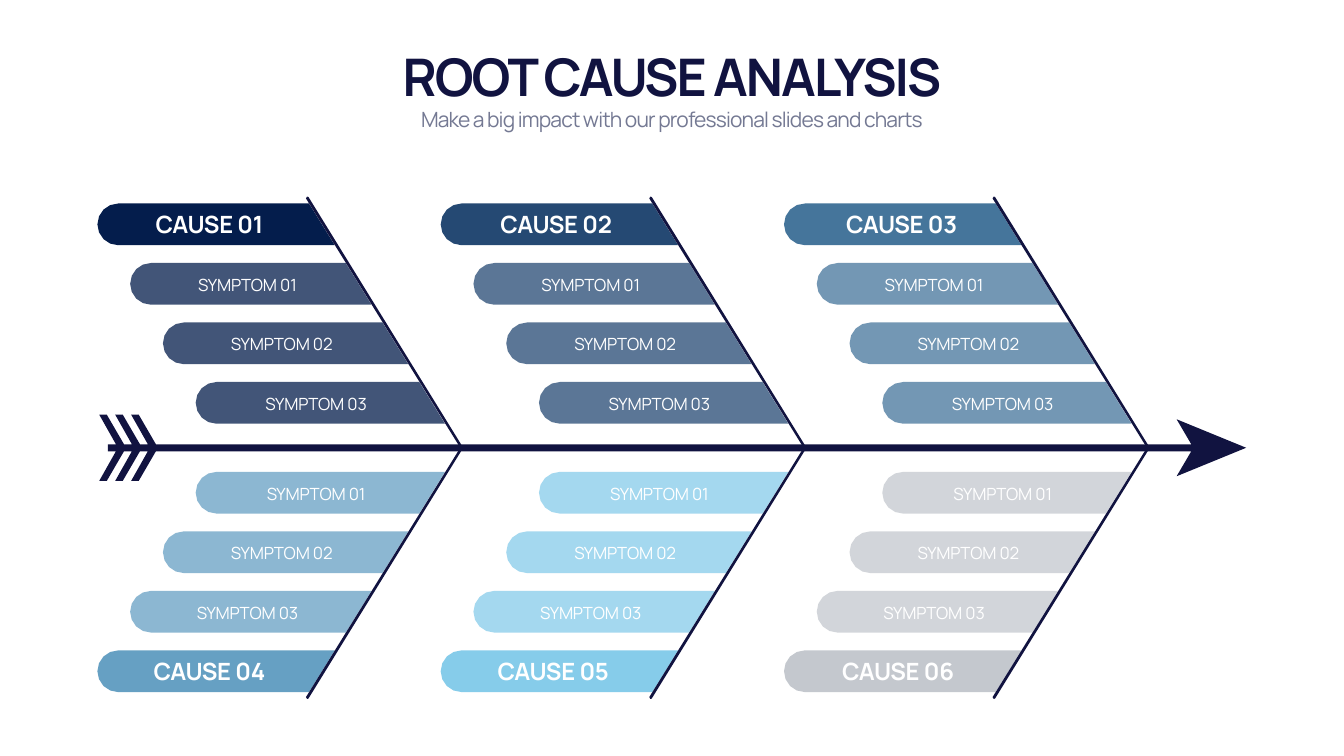
import dataclasses
import math

import lxml.etree
import pptx
import pptx.dml.color
import pptx.enum.text
import pptx.oxml.ns
import pptx.util

Pt = pptx.util.Pt
ANCHOR = pptx.enum.text.MSO_ANCHOR
Point = tuple[float, float]

COLORS = {
    "ink": "111340",
    "subtitle": "747993",
    "white": "FFFFFF",
    "cause1": "041D4C",
    "cause2": "254973",
    "cause3": "45759B",
    "cause4": "66A0C3",
    "cause5": "86CCEA",
    "cause6": "C4C8CE",
}
FONT = "Manrope"

# Layout, in points
SLIDE_W, SLIDE_H = 1919.52, 1080
AXIS_Y = 639.7
COLUMN_STEP = 490.3
ROW_STEP = 85
FIRST_ROW = 319.2  # from the spine to the centre of a cause bar
RADIUS = 29.8
CAP_SEGMENTS = 8
BAR_LEFT, BAR_LEFT_STEP = 139.1, 46.8
BAR_RIGHT, BAR_RIGHT_STEP = 478.1, 52.5
BAR_SLANT = 36.8


@dataclasses.dataclass
class Branch:
    number: int
    column: int
    side: int  # -1 above the spine, 1 below it
    label_left: float


BRANCHES = [
    Branch(1, 0, -1, 164.9),
    Branch(2, 1, -1, 660.2),
    Branch(3, 2, -1, 1153.4),
    Branch(4, 0, 1, 164.9),
    Branch(5, 1, 1, 655.9),
    Branch(6, 2, 1, 1148.4),
]


def rgb(name: str) -> pptx.dml.color.RGBColor:
    return pptx.dml.color.RGBColor.from_string(COLORS[name])


def add_outline(s, points: list[Point], color: str, alpha: int = 100) -> None:
    """Draw a closed, filled outline without a border."""
    start, *rest = [(Pt(x), Pt(y)) for x, y in points]
    builder = s.shapes.build_freeform(*start)
    builder.add_line_segments(rest, close=True)
    sp = builder.convert_to_shape()
    sp.shadow.inherit = False
    sp.line.fill.background()
    sp.fill.solid()
    sp.fill.fore_color.rgb = rgb(color)
    if alpha < 100:
        clr = sp.fill._xPr.find(".//" + pptx.oxml.ns.qn("a:srgbClr"))
        lxml.etree.SubElement(clr, pptx.oxml.ns.qn("a:alpha"), val=str(alpha * 1000))


def add_text(s, text: str, *, left: float, top: float, width: float, height: float,
             size: float, color: str = "white", bold: bool = False,
             spacing: float = 0, line: float | None = None,
             anchor: ANCHOR = ANCHOR.MIDDLE) -> None:
    """Add one centred line of text."""
    sp = s.shapes.add_textbox(Pt(left), Pt(top), Pt(width), Pt(height))
    tf = sp.text_frame
    tf.word_wrap = True
    tf.auto_size = pptx.enum.text.MSO_AUTO_SIZE.SHAPE_TO_FIT_TEXT
    tf.vertical_anchor = anchor
    p = tf.paragraphs[0]
    p.alignment = pptx.enum.text.PP_ALIGN.CENTER
    if line:
        p.line_spacing = Pt(line)
    r = p.add_run()
    r.text = text
    r.font.name = FONT
    r.font.size = Pt(size)
    r.font.bold = bold
    r.font.color.rgb = rgb(color)
    r._r.get_or_add_rPr().set("spc", str(round(spacing * 100)))


def add_bar(s, branch: Branch, row: int, center: float) -> None:
    """Draw a bar with a round left end and a slanted right end."""
    cap_x = BAR_LEFT + branch.column * COLUMN_STEP + row * BAR_LEFT_STEP + RADIUS
    right = BAR_RIGHT + branch.column * COLUMN_STEP + row * BAR_RIGHT_STEP
    angles = [math.pi * (0.5 + k / CAP_SEGMENTS) for k in range(CAP_SEGMENTS + 1)]
    cap = [(cap_x + RADIUS * math.cos(a),
            center - branch.side * RADIUS * math.sin(a)) for a in angles]
    # The edge nearest the spine is the long one
    points = [(right, center - branch.side * RADIUS), *cap,
              (right - BAR_SLANT, center + branch.side * RADIUS)]
    add_outline(s, points, f"cause{branch.number}", 75 if row else 100)


def add_branch(s, branch: Branch) -> None:
    """Draw a cause and its three symptoms."""
    for row in range(4):
        center = AXIS_Y + branch.side * (FIRST_ROW - row * ROW_STEP)
        add_bar(s, branch, row, center)
        if row == 0:
            add_text(s, f"CAUSE {branch.number:02}", left=branch.label_left,
                     top=center - 24, width=268.6, height=48, size=34,
                     bold=True, spacing=-0.3)
        else:
            number = row if branch.side < 0 else 4 - row
            add_text(s, f"SYMPTOM {number:02}",
                     left=162 + 49 * row + branch.column * COLUMN_STEP,
                     top=center - 22.8, width=285, height=41, size=24,
                     spacing=-0.2, line=36)


def mirrored(upper: list[Point]) -> list[Point]:
    """Complete an upper half, given as heights above the spine."""
    return ([(x, AXIS_Y - h) for x, h in upper]
            + [(x, AXIS_Y + h) for x, h in reversed(upper)])


def add_rib(s, column: int) -> None:
    dx = column * COLUMN_STEP
    half = [(657.4, 0), (437, 356.2), (438.6, 358.9), (440.6, 358.2), (661.6, 0)]
    add_outline(s, mirrored([(x + dx, h) for x, h in half]), "ink")


def add_spine(s) -> None:
    half = [(154.1, 5)]
    # Tail feathers
    for k in range(3):
        dx = 22.8 * k
        half += [(165.6 + dx, 5), (141.8 + dx, 47.2),
                 (152.6 + dx, 47.2), (177.1 + dx, 5)]
    # Arrowhead
    half += [(1701.4, 5), (1680.5, 40.7), (1779.8, 0)]
    add_outline(s, mirrored(half), "ink")


def main() -> None:
    prs = pptx.Presentation()
    prs.slide_width, prs.slide_height = Pt(SLIDE_W), Pt(SLIDE_H)
    s = prs.slides.add_slide(prs.slide_layouts[6])

    # Fishbone
    for branch in BRANCHES:
        add_branch(s, branch)
    for column in range(3):
        add_rib(s, column)
    add_spine(s)

    # Heading
    add_text(s, "ROOT CAUSE ANALYSIS", left=119.5, top=59, width=1680, height=97.2,
             size=74, color="ink", bold=True, spacing=-2.9, anchor=ANCHOR.BOTTOM)
    add_text(s, "Make a big impact with our professional slides and charts",
             left=119.5, top=149, width=1680, height=44, size=30,
             color="subtitle", spacing=-1.2, anchor=ANCHOR.TOP)

    prs.save("out.pptx")


if __name__ == "__main__":
    main()
